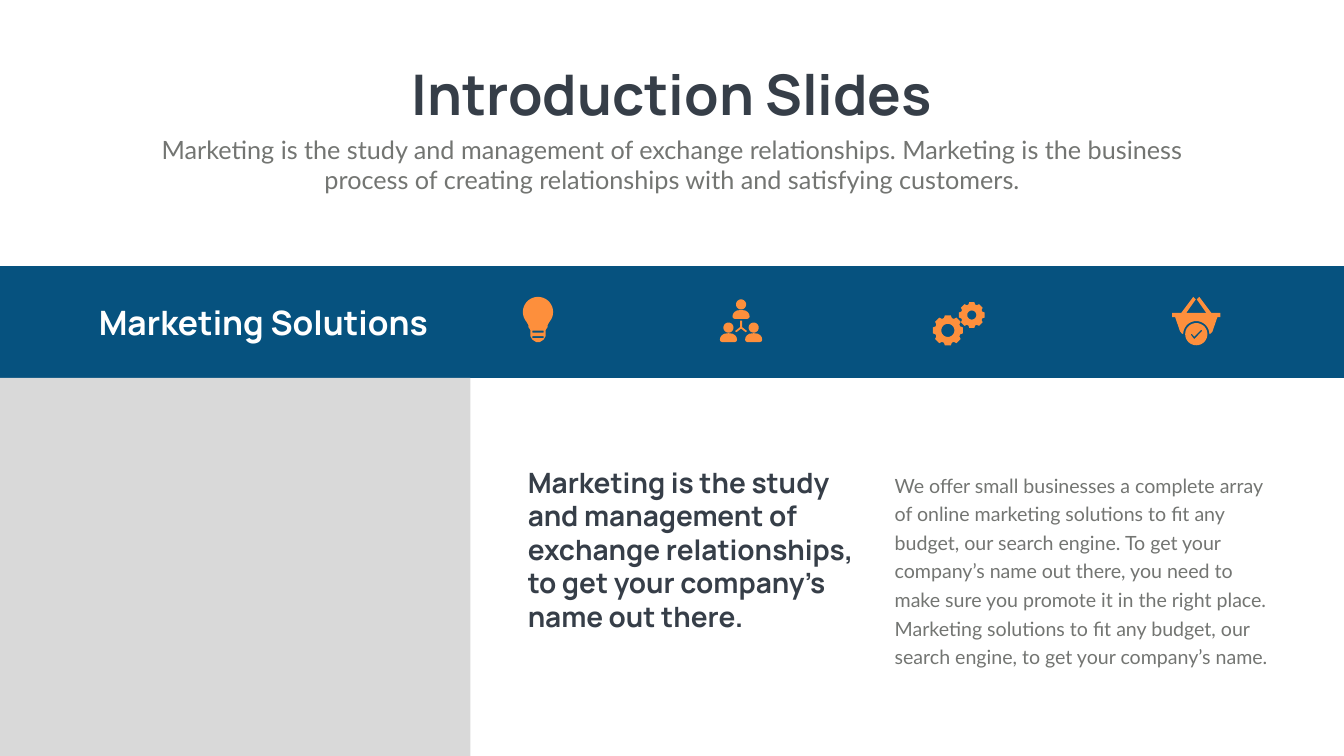
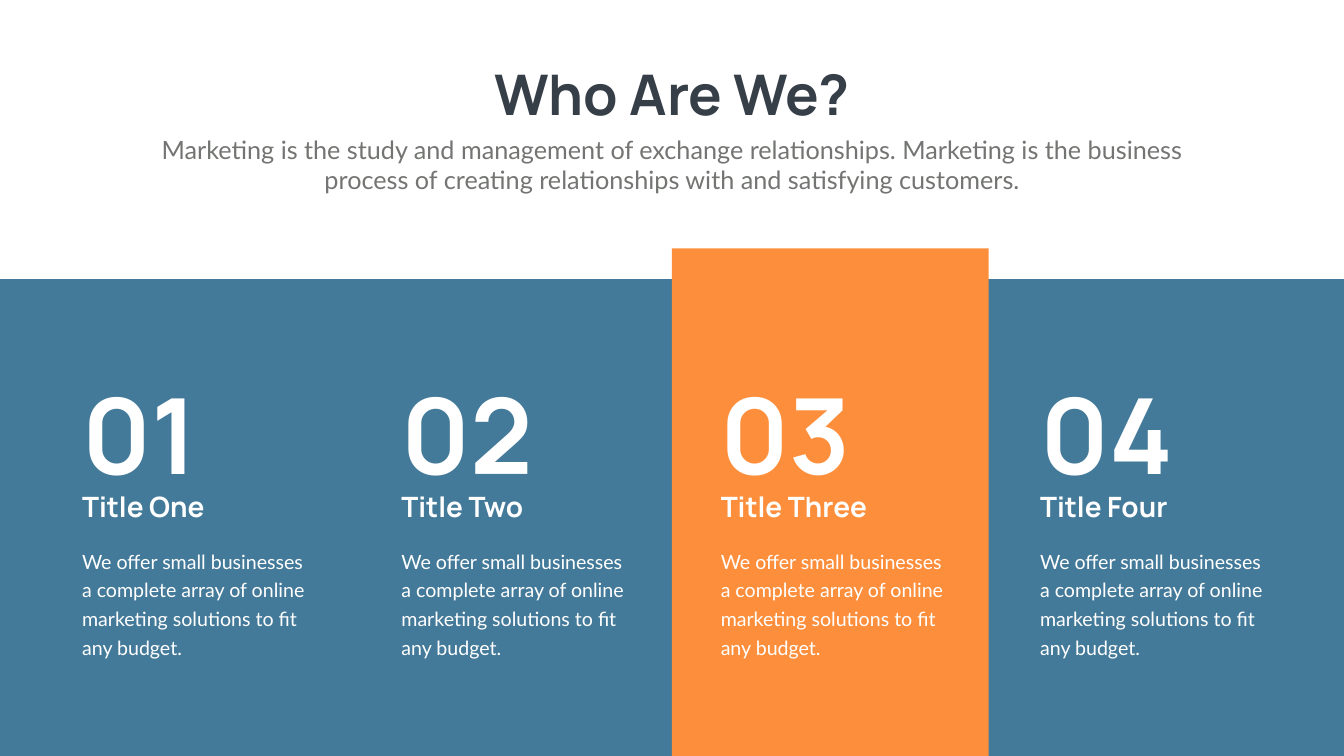
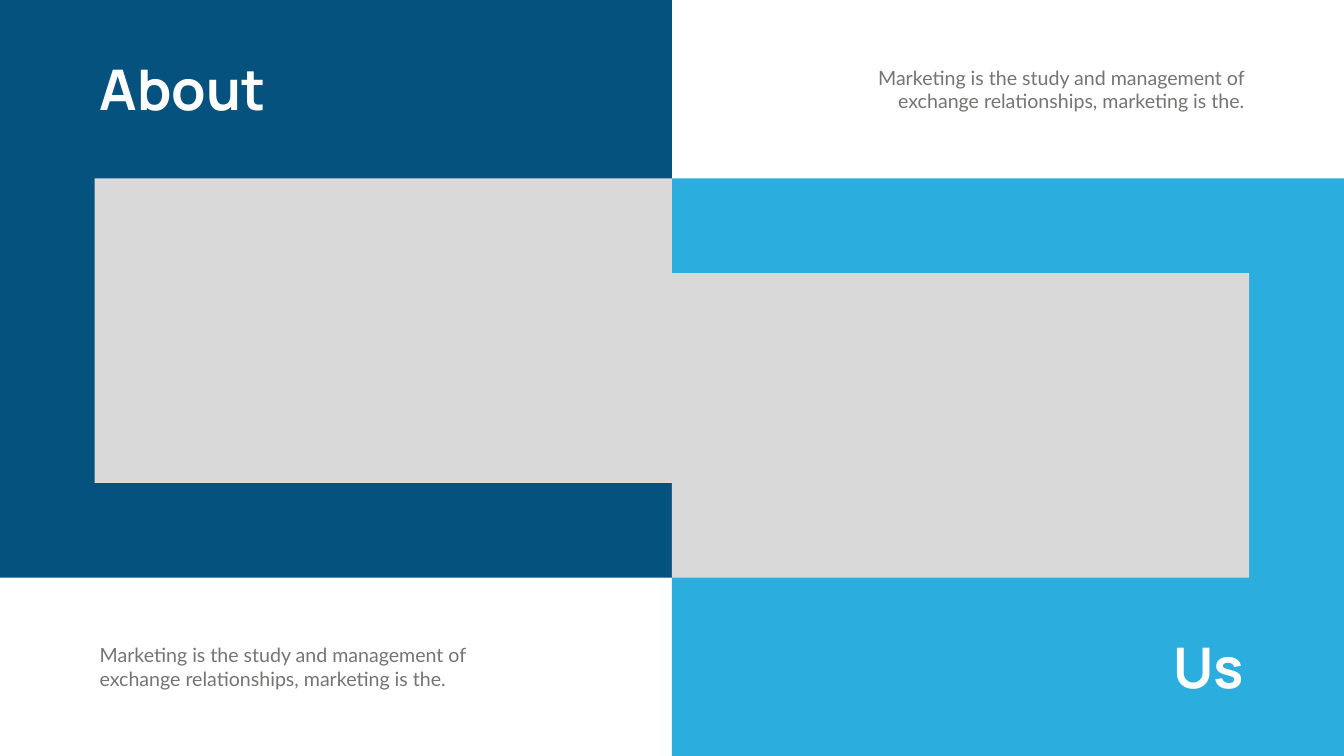
from math import cos, radians, sin

from lxml.etree import SubElement
from pptx import Presentation
from pptx.dml.color import RGBColor
from pptx.enum.shapes import MSO_SHAPE
from pptx.enum.text import MSO_AUTO_SIZE, PP_ALIGN
from pptx.oxml.ns import qn
from pptx.util import Inches, Pt

# Shared look
NAVY = RGBColor(0x06, 0x52, 0x7F)
SKY = RGBColor(0x2B, 0xAE, 0xDD)
ORANGE = RGBColor(0xFD, 0x8F, 0x3C)
DARK = RGBColor(0x36, 0x3E, 0x48)
GREY = RGBColor(0x73, 0x75, 0x72)
LIGHT = RGBColor(0xD9, 0xD9, 0xD9)
WHITE = RGBColor(0xFF, 0xFF, 0xFF)
HEADING, BODY = "Manrope", "Lato"

presentation = Presentation()
presentation.slide_width = Inches(26.66)
presentation.slide_height = Inches(15)
COLUMN = presentation.slide_width / 100  # one percent of the slide's width
ROW = presentation.slide_height / 100  # one percent of the slide's height


def add_rectangle(slide, left, top, width, height, color):
    shape = slide.shapes.add_shape(
        MSO_SHAPE.RECTANGLE, int(left * COLUMN), int(top * ROW),
        int(width * COLUMN), int(height * ROW))
    shape.shadow.inherit = False
    shape.fill.solid()
    shape.fill.fore_color.rgb = color
    shape.line.fill.background()
    return shape


def add_text(slide, left, top, width, height, text, size, font, color,
             align=PP_ALIGN.LEFT, spacing=None, wrap=True):
    box = slide.shapes.add_textbox(
        int(left * COLUMN), int(top * ROW), int(width * COLUMN), int(height * ROW))
    box.text_frame.word_wrap = wrap
    box.text_frame.auto_size = MSO_AUTO_SIZE.SHAPE_TO_FIT_TEXT
    paragraph = box.text_frame.paragraphs[0]
    paragraph.text = text
    paragraph.alignment = align
    paragraph.line_spacing = spacing
    run_font = paragraph.runs[0].font
    run_font.name, run_font.size = font, Pt(size)
    run_font.bold = font == HEADING
    run_font.color.rgb = color


intro, who, about = [
    presentation.slides.add_slide(presentation.slide_layouts[6]) for _ in range(3)]

# Centred title and subtitle of the first two slides
for slide, title, width in [(intro, "Introduction Slides", 41.5),
                            (who, "Who Are We?", 29.25)]:
    add_text(slide, 50 - width / 2, 7.6, width, 9.67, title, 80, HEADING, DARK,
             PP_ALIGN.CENTER, wrap=False)
    add_text(slide, 10.95, 17.4, 78.1, 8.73,
             "Marketing is the study and management of exchange relationships. "
             "Marketing is the business process of creating relationships with "
             "and satisfying customers.", 36, BODY, GREY, PP_ALIGN.CENTER)

# Slide 1: band and photo area
add_rectangle(intro, 0, 35.2, 100, 14.8, NAVY)
add_rectangle(intro, 0, 50, 35, 50, LIGHT)

# Icons: outlines in hundredths of an inch from the top centre of each icon
UNIT = Inches(0.01)
ICON_TOP = 39.27
circle = [(cos(radians(a)), sin(radians(a))) for a in range(0, 360, 10)]

# Right halves, mirrored below
bulb = [(30 * cos(radians(a)), 30 + 30 * sin(radians(a))) for a in range(-90, 41, 10)]
bulb += [(19, 56), (19, 60), (15, 66), (15, 78), (11, 85), (3, 90)]
basket = [(20, 32), (1, 5), (6, 0), (30, 32), (48, 32), (48, 40), (42, 40),
          (32, 69), (28, 73)]
basket += [(26 * cos(radians(a)), 74 + 26 * sin(radians(a))) for a in range(0, -91, -10)]
branches = [(2, 47), (2, 60), (12, 68), (9, 70), (0, 63)]
shoulders = [(0, 0), (8, 1), (13, 4), (16, 8), (17, 13), (16, 16), (13, 17.5)]
bulb, basket, branches, shoulders = [
    half + [(-x, y) for x, y in reversed(half)]
    for half in (bulb, basket, branches, shoulders)]

strips = [[(-11, y), (11, y), (11, y + 4), (-11, y + 4)] for y in (67, 78)]
badge = [(22 * x, 74 + 22 * y) for x, y in circle]
check = [(-11, 75), (-9, 73), (-4, 79), (10, 65), (12, 67), (-4, 84)]

gears = []
for center_x, center_y, radius, hole in [(-21.5, 66.5, 30.5, 13), (26, 36, 26, 9)]:
    gears.append([
        (center_x + radius * share * cos(radians(tooth + angle)),
         center_y + radius * share * sin(radians(tooth + angle)))
        for tooth in range(0, 360, 45)
        for angle, share in [(-18, 0.84), (-11, 1), (11, 1), (18, 0.84)]])
    gears.append([(center_x + hole * x, center_y + hole * y) for x, y in circle])

icons = [(40.03, [bulb] + strips), (55.14, [branches]), (71.33, gears),
         (89.01, [basket]), (89.01, [badge, check])]
for person_x, person_y in [(0, 5), (-25, 51), (25, 51)]:
    icons.append((55.14, [[(person_x + 10 * x, person_y + 10 + 10 * y) for x, y in circle]]))
    icons.append((55.14, [[(person_x + x, person_y + 21 + y) for x, y in shoulders]]))

for center, contours in icons:
    contours = [[(center * COLUMN + x * UNIT, ICON_TOP * ROW + y * UNIT)
                 for x, y in contour] for contour in contours]
    builder = intro.shapes.build_freeform(*contours[0][0])
    for contour in contours:
        builder.move_to(*contour[0])
        builder.add_line_segments(contour[1:], close=True)
    icon = builder.convert_to_shape()
    icon.shadow.inherit = False
    icon.fill.solid()
    icon.fill.fore_color.rgb = ORANGE
    icon.line.fill.background()

# Slide 1: texts
add_text(intro, 6.98, 39.67, 27.94, 6.07, "Marketing Solutions", 48, HEADING, WHITE)
add_text(intro, 38.9, 61.2, 26.07, 27.6,
         "Marketing is the study and management of exchange relationships, "
         "to get your company’s name out there.", 40, HEADING, DARK)
add_text(intro, 66.2, 61.67, 28.51, 27.13,
         "We offer small businesses a complete array of online marketing solutions "
         "to fit any budget, our search engine. To get your company’s name out there, "
         "you need to make sure you promote it in the right place. Marketing solutions "
         "to fit any budget, our search engine, to get your company’s name.",
         28, BODY, GREY, spacing=Pt(40.8))

# Slide 2: photo area under a translucent band, and the highlighted column
add_rectangle(who, 0, 36.93, 100, 63.07, LIGHT)
tint = add_rectangle(who, 0, 36.93, 100, 63.07, NAVY)
tint_color = tint._element.spPr.find(qn("a:solidFill")).find(qn("a:srgbClr"))
SubElement(tint_color, qn("a:alpha")).set("val", "70000")
add_rectangle(who, 50, 32.87, 23.56, 67.13, ORANGE)

# Slide 2: four numbered columns
for index, word in enumerate(["One", "Two", "Three", "Four"]):
    left = 5.74 + 23.76 * index
    add_text(who, left, 48.6, 17.29, 17.53, f"0{index + 1}", 150, HEADING, WHITE)
    add_text(who, left, 71.73, 17.29, 15.6,
             "We offer small businesses a complete array of online marketing "
             "solutions to fit any budget.", 28, BODY, WHITE, spacing=Pt(40.8))
    add_text(who, left, 64.47, 17.29, 5.13, f"Title {word}", 40, HEADING, WHITE)

# Slide 3: two halves, the right one being the left one turned around
MARGIN = 7.05
PANEL_HEIGHT = 76.4
PHOTO_WIDTH, PHOTO_HEIGHT = 50 - MARGIN, 40.27
add_rectangle(about, 50, 100 - PANEL_HEIGHT, 50, PANEL_HEIGHT, SKY)
add_rectangle(about, 0, 0, 50, PANEL_HEIGHT, NAVY)
add_rectangle(about, MARGIN, 100 - PANEL_HEIGHT, PHOTO_WIDTH, PHOTO_HEIGHT, LIGHT)
add_rectangle(about, 50, PANEL_HEIGHT - PHOTO_HEIGHT, PHOTO_WIDTH, PHOTO_HEIGHT, LIGHT)

TITLE_WIDTH, NOTE_WIDTH = 27.72, 34.32
for title, title_left, title_top, note_left, note_top, align in [
        ("About", MARGIN, 6.93, MARGIN, 84.73, PP_ALIGN.LEFT),
        ("Us", 100 - MARGIN - TITLE_WIDTH, 83.4,
         100 - MARGIN - NOTE_WIDTH, 8.33, PP_ALIGN.RIGHT)]:
    add_text(about, title_left, title_top, TITLE_WIDTH, 9.67,
             title, 80, HEADING, WHITE, align)
    add_text(about, note_left, note_top, NOTE_WIDTH, 6.93,
             "Marketing is the study and management of exchange relationships, "
             "marketing is the.", 28, BODY, GREY, align)

presentation.save("out.pptx")
